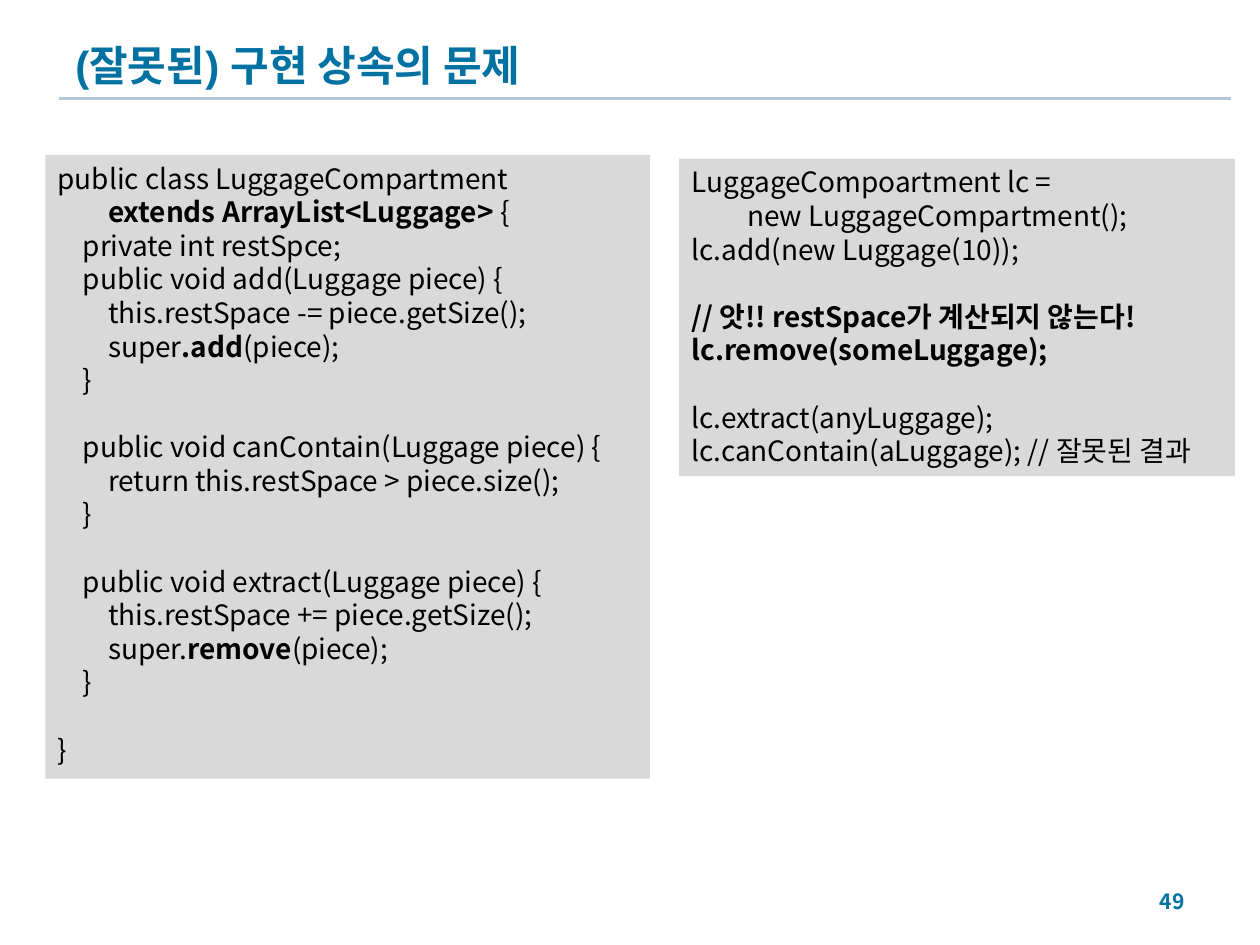
import pptx
import pptx.dml.color
import pptx.enum.shapes
import pptx.enum.text
import pptx.oxml.ns
import pptx.util
from pptx.util import Inches, Pt
from lxml import etree

BLUE = pptx.dml.color.RGBColor(0x00, 0x71, 0xA0)
RULE = pptx.dml.color.RGBColor(0xB4, 0xC8, 0xD7)
PANEL = pptx.dml.color.RGBColor(0xD9, 0xD9, 0xD9)
BLACK = pptx.dml.color.RGBColor(0, 0, 0)
KOREAN_FONT = "Noto Sans CJK KR"
CODE_SIZE = 16
CODE_PITCH = Pt(19.2)
INDENT = Inches(0.2)

# Each line is (indent level, text); ** switches bold, None leaves a gap.
COMPARTMENT_CLASS = [
    (0, "public class LuggageCompartment"),
    (2, "**extends ArrayList<Luggage>** {"),
    (1, "private int restSpce;"),
    (1, "public void add(Luggage piece) {"),
    (2, "this.restSpace -= piece.getSize();"),
    (2, "super**.add**(piece);"),
    (1, "}"),
    None,
    (1, "public void canContain(Luggage piece) {"),
    (2, "return this.restSpace > piece.size();"),
    (1, "}"),
    None,
    (1, "public void extract(Luggage piece) {"),
    (2, "this.restSpace += piece.getSize();"),
    (2, "super.**remove**(piece);"),
    (1, "}"),
    None,
    (0, "}"),
]
CLIENT_CODE = [
    (0, "LuggageCompoartment lc ="),
    (2.2, "new LuggageCompartment();"),
    (0, "lc.add(new Luggage(10));"),
    None,
    (0, "**// 앗!! restSpace가 계산되지 않는다!**"),
    (0, "**lc.remove(someLuggage);**"),
    None,
    (0, "lc.extract(anyLuggage);"),
    (0, "lc.canContain(aLuggage); // 잘못된 결과"),
]


def write(paragraph, text, size, color=BLACK, font=KOREAN_FONT, bold=False,
          align=pptx.enum.text.PP_ALIGN.LEFT):
    """Add text to the paragraph; each ** in it switches bold."""
    paragraph.alignment = align
    for position, part in enumerate(text.split("**")):
        if not part:
            continue
        run = paragraph.add_run()
        run.text = part
        run.font.size = Pt(size)
        run.font.name = font
        run.font.bold = bold or position % 2 == 1
        run.font.color.rgb = color
        east_asian = etree.SubElement(run.font._element, pptx.oxml.ns.qn("a:ea"))
        east_asian.set("typeface", KOREAN_FONT)


def add_label(slide, box, text, size, **style):
    frame = slide.shapes.add_textbox(*map(Inches, box)).text_frame
    frame.word_wrap = True
    frame.vertical_anchor = pptx.enum.text.MSO_ANCHOR.MIDDLE
    write(frame.paragraphs[0], text, size, color=BLUE, bold=True, **style)


def add_title_rule(slide, left, right, y):
    rule = slide.shapes.add_connector(
        pptx.enum.shapes.MSO_CONNECTOR.STRAIGHT,
        Inches(left), Inches(y), Inches(right), Inches(y))
    rule.line.color.rgb = RULE
    rule.line.width = Pt(1.5)
    etree.SubElement(rule._element.spPr, pptx.oxml.ns.qn("a:effectLst"))


def add_code_panel(slide, box, lines):
    panel = slide.shapes.add_shape(
        pptx.enum.shapes.MSO_SHAPE.RECTANGLE, *map(Inches, box))
    panel.shadow.inherit = False
    panel.fill.solid()
    panel.fill.fore_color.rgb = PANEL
    panel.line.fill.background()
    frame = panel.text_frame
    frame.word_wrap = True
    frame.vertical_anchor = pptx.enum.text.MSO_ANCHOR.TOP

    paragraph = frame.paragraphs[0]
    gap = Pt(0)
    for number, line in enumerate(lines):
        if line is None:
            gap = CODE_PITCH
            continue
        if number:
            paragraph = frame.add_paragraph()
        level, text = line
        paragraph.line_spacing = CODE_PITCH
        paragraph.space_before = gap
        properties = paragraph._p.get_or_add_pPr()
        properties.set("marL", str(int(level * INDENT)))
        properties.set("indent", "0")
        write(paragraph, text, CODE_SIZE)
        gap = Pt(0)


def main():
    deck = pptx.Presentation()
    deck.slide_width, deck.slide_height = Inches(10), Inches(7.5)
    slide = deck.slides.add_slide(deck.slide_layouts[6])
    add_title_rule(slide, 0.47, 9.77, 0.78)
    add_label(slide, (0.5, 0.23, 9, 0.56), "(잘못된) 구현 상속의 문제", 24, font="Arial")
    add_label(slide, (7.17, 6.95, 2.33, 0.4), "49", 12,
              align=pptx.enum.text.PP_ALIGN.RIGHT)
    add_code_panel(slide, (0.36, 1.23, 4.8, 4.95), COMPARTMENT_CLASS)
    add_code_panel(slide, (5.39, 1.26, 4.41, 2.52), CLIENT_CODE)
    deck.save("out.pptx")


if __name__ == "__main__":
    main()
